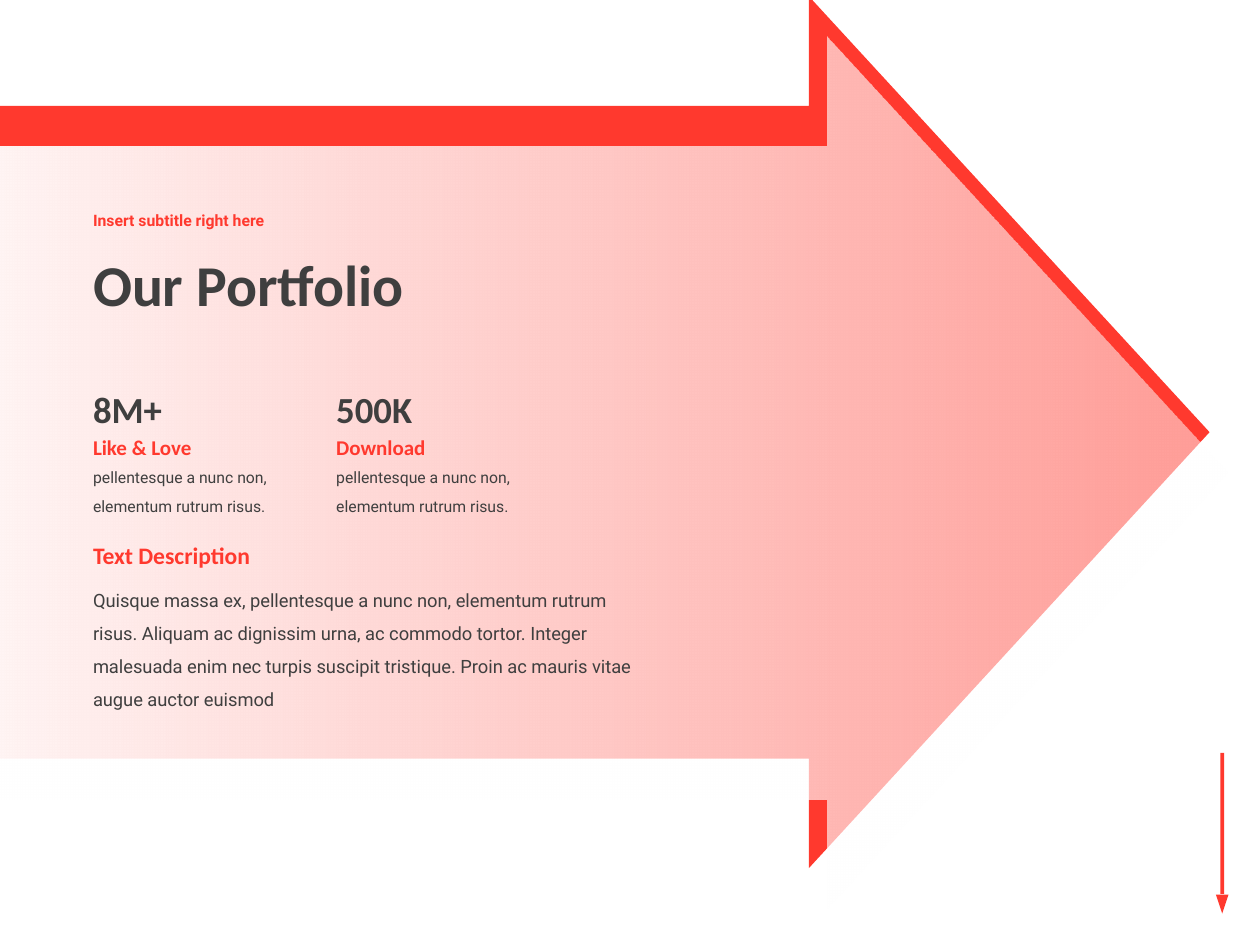
from lxml.etree import SubElement
from pptx import Presentation
from pptx.dml.color import RGBColor as RGB
from pptx.enum.shapes import MSO_SHAPE as Kind
from pptx.enum.text import MSO_ANCHOR as Anchor, MSO_AUTO_SIZE as Auto
from pptx.oxml.ns import qn
from pptx.util import Inches, Pt

COLORS = {"red": "FF392E", "dark": "3F3F3F", "white": "FFFFFF"}
STYLES = {
    "title": {"name": "Calibri", "size": 33, "bold": True, "color": "dark"},
    "number": {"name": "Calibri", "size": 21, "bold": True, "color": "dark"},
    "head": {"name": "Calibri", "size": 13.5, "bold": True, "color": "red"},
    "label": {"name": "Calibri", "size": 12, "bold": True, "color": "red"},
    "sub": {"name": "Roboto", "size": 9, "bold": True, "color": "red"},
    "body": {"name": "Roboto", "size": 10.5, "bold": False, "color": "dark"},
    "note": {"name": "Roboto", "size": 9, "bold": False, "color": "dark"},
}
ARROW = [(6.56, 0.29), (9.74, 3.75), (6.56, 7.21), (6.56, 6.34),
         (0, 6.34), (0, 1.16), (6.56, 1.16)]


def paint(shape, color):
    shape.shadow.inherit = False
    shape.line.fill.background()
    shape.fill.solid()
    shape.fill.fore_color.rgb = RGB.from_string(COLORS[color])


class Deck:
    """Holds the presentation, its colours and the current slide."""

    def __init__(self, width, height):
        self.prs = Presentation()
        self.prs.slide_width, self.prs.slide_height = Inches(width), Inches(height)
        self.slide = self.prs.slides.add_slide(self.prs.slide_layouts[6])

    def shape(self, kind, box, color, turn=0):
        item = self.slide.shapes.add_shape(kind, *map(Inches, box))
        item.rotation = turn
        paint(item, color)

    def outline(self, points, color, dx=0, dy=0):
        spots = [(Inches(x + dx), Inches(y + dy)) for x, y in points]
        build = self.slide.shapes.build_freeform(*spots[0], scale=1)
        build.add_line_segments(spots[1:], close=True)
        item = build.convert_to_shape()
        paint(item, color)
        return item

    def veil(self, points, color, alphas):
        """Draw an outline whose opacity runs from left to right."""
        fill = self.outline(points, color).fill
        fill.gradient()
        fill.gradient_angle = 0
        for stop in fill.gradient_stops:
            stop.color.rgb = RGB.from_string(COLORS[color])
        tones = fill._xPr.iter(qn("a:srgbClr"))
        for tone, alpha in zip(tones, alphas):
            SubElement(tone, qn("a:alpha"), val=str(alpha * 1000))

    def text(self, words, box, style, spacing=1.0, middle=False):
        frame = self.slide.shapes.add_textbox(*map(Inches, box)).text_frame
        frame.word_wrap = True
        frame.auto_size = Auto.NONE if middle else Auto.SHAPE_TO_FIT_TEXT
        frame.vertical_anchor = Anchor.MIDDLE if middle else Anchor.TOP
        para = frame.paragraphs[0]
        para.line_spacing = spacing
        run = para.add_run()
        run.text = words
        for key, value in STYLES[style].items():
            if key == "color":
                run.font.color.rgb = RGB.from_string(COLORS[value])
            else:
                setattr(run.font, key, Pt(value) if key == "size" else value)

    def stat(self, left, number, label, note):
        self.text(note, (left, 3.59, 1.89, 0.53), "note", 1.5)
        self.text(label, (left, 3.4, 1.5, 0.3), "label")
        self.text(number, (left, 3.02, 1.5, 0.45), "number")


def main():
    deck = Deck(10, 7.5)
    deck.shape(Kind.RECTANGLE, (9.14, 6.52, 1.12, 0.03), "red", 90)
    deck.shape(Kind.ISOSCELES_TRIANGLE, (9.65, 7.1, 0.1, 0.15), "red", 180)
    deck.outline(ARROW, "red", -0.14, -0.32)
    deck.veil(ARROW, "white", (95, 50))

    left = 0.64
    deck.text("Quisque massa ex, pellentesque a nunc non, elementum rutrum risus. "
              "Aliquam ac dignissim urna, ac commodo tortor. Integer malesuada "
              "enim nec turpis suscipit tristique. Proin ac mauris vitae augue "
              "auctor euismod", (left, 4.54, 4.64, 0.87), "body", 1.5)
    deck.text("Text Description", (left, 4.24, 2.19, 0.33), "head")
    note = "pellentesque a nunc non, elementum rutrum risus."
    stats = [("8M+", "Like & Love"), ("500K", "Download")]
    for col, (number, label) in enumerate(stats):
        deck.stat(left + col * 1.93, number, label, note)
    deck.text("Our Portfolio", (left, 1.77, 5.63, 1.03), "title", 0.9, True)
    deck.text("Insert subtitle right here", (left, 1.57, 5.63, 0.38), "sub", 0.9, True)
    deck.prs.save("out.pptx")


if __name__ == "__main__":
    main()
